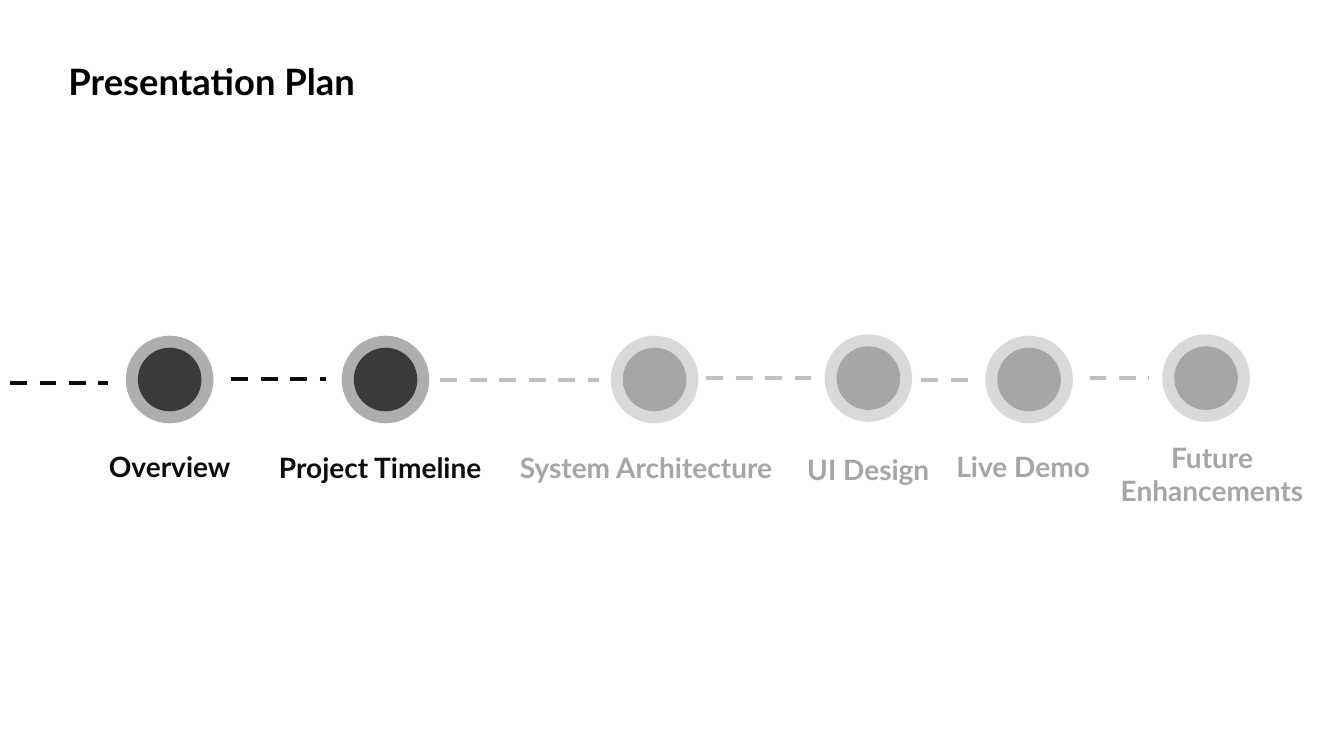
from lxml import etree
from pptx import Presentation
from pptx.dml.color import RGBColor
from pptx.enum import dml, shapes, text
from pptx.oxml import ns
from pptx.util import Pt

COLORS = {
    "title": "000000",
    "done": {"ring": "AEAEAE", "core": "3A3A3A", "label": "0D0D0D", "dash": "0D0D0D"},
    "next": {"ring": "D9D9D9", "core": "A6A6A6", "label": "A6A6A6", "dash": "BFBFBF"},
}
FONT = "Lato"
RING, CORE = 62.6, 45.4
DASH_WIDTH = 3

TITLE = ("Presentation Plan", (41.8, 38.9, 238.3, 38.9))

# label, state, circle centre, label box, dashes leading in (from x, to x, y)
STEPS = [
    ("Overview", "done", (121.2, 271.1), (70.6, 317.5, 101.5, 31.7), (7.2, 77, 273.6)),
    ("Project Timeline", "done", (275.4, 271.1), (192.2, 318.2, 166.3, 31.7), (165.3, 232.6, 270.7)),
    ("System Architecture", "next", (467.6, 271.1), (364.3, 318.2, 206.6, 31.7), (314.6, 428.2, 271.6)),
    ("UI Design", "next", (620.3, 270.1), (569.5, 319.7, 101.5, 31.7), (504.6, 579.1, 270)),
    ("Live Demo", "next", (735.1, 271.1), (676.1, 317.5, 118.1, 31.7), (658.1, 693.2, 271.6)),
    ("Future Enhancements", "next", (861.5, 270.1), (787.7, 311, 156.2, 55.4), (778.3, 821, 270)),
]

deck = Presentation()
deck.slide_width, deck.slide_height = Pt(960), Pt(540)
slide = deck.slides.add_slide(deck.slide_layouts[6])


def add_label(words, box, size, color, align=text.PP_ALIGN.LEFT):
    label = slide.shapes.add_textbox(*map(Pt, box))
    frame = label.text_frame
    frame.text = words
    frame.word_wrap = True
    frame.auto_size = text.MSO_AUTO_SIZE.SHAPE_TO_FIT_TEXT
    paragraph = frame.paragraphs[0]
    paragraph.alignment = align
    font = paragraph.runs[0].font
    font.name, font.size, font.bold = FONT, Pt(size), True
    font.color.rgb = RGBColor.from_string(color)


def add_disc(parent, centre, diameter, color):
    left, top = (c - diameter / 2 for c in centre)
    disc = parent.shapes.add_shape(
        shapes.MSO_SHAPE.OVAL, Pt(left), Pt(top), Pt(diameter), Pt(diameter))
    disc.shadow.inherit = False
    disc.fill.solid()
    disc.fill.fore_color.rgb = RGBColor.from_string(color)
    disc.line.fill.background()


def add_dashes(start, end, y, color):
    dashes = slide.shapes.add_connector(
        shapes.MSO_CONNECTOR.STRAIGHT, Pt(start), Pt(y), Pt(end), Pt(y))
    dashes.line.color.rgb = RGBColor.from_string(color)
    dashes.line.width = Pt(DASH_WIDTH)
    dashes.line.dash_style = dml.MSO_LINE.DASH
    etree.SubElement(dashes._element.spPr, ns.qn("a:effectLst"))


# Title
add_label(*TITLE, 26, COLORS["title"])

# Timeline steps
for words, state, centre, box, dashes in STEPS:
    palette = COLORS[state]
    marker = slide.shapes.add_group_shape()
    add_disc(marker, centre, RING, palette["ring"])
    add_disc(marker, centre, CORE, palette["core"])
    two_lines = box[3] > 40
    align = text.PP_ALIGN.CENTER if two_lines else text.PP_ALIGN.LEFT
    add_label(words, box, 20, palette["label"], align)
    add_dashes(*dashes, palette["dash"])

deck.save("out.pptx")
